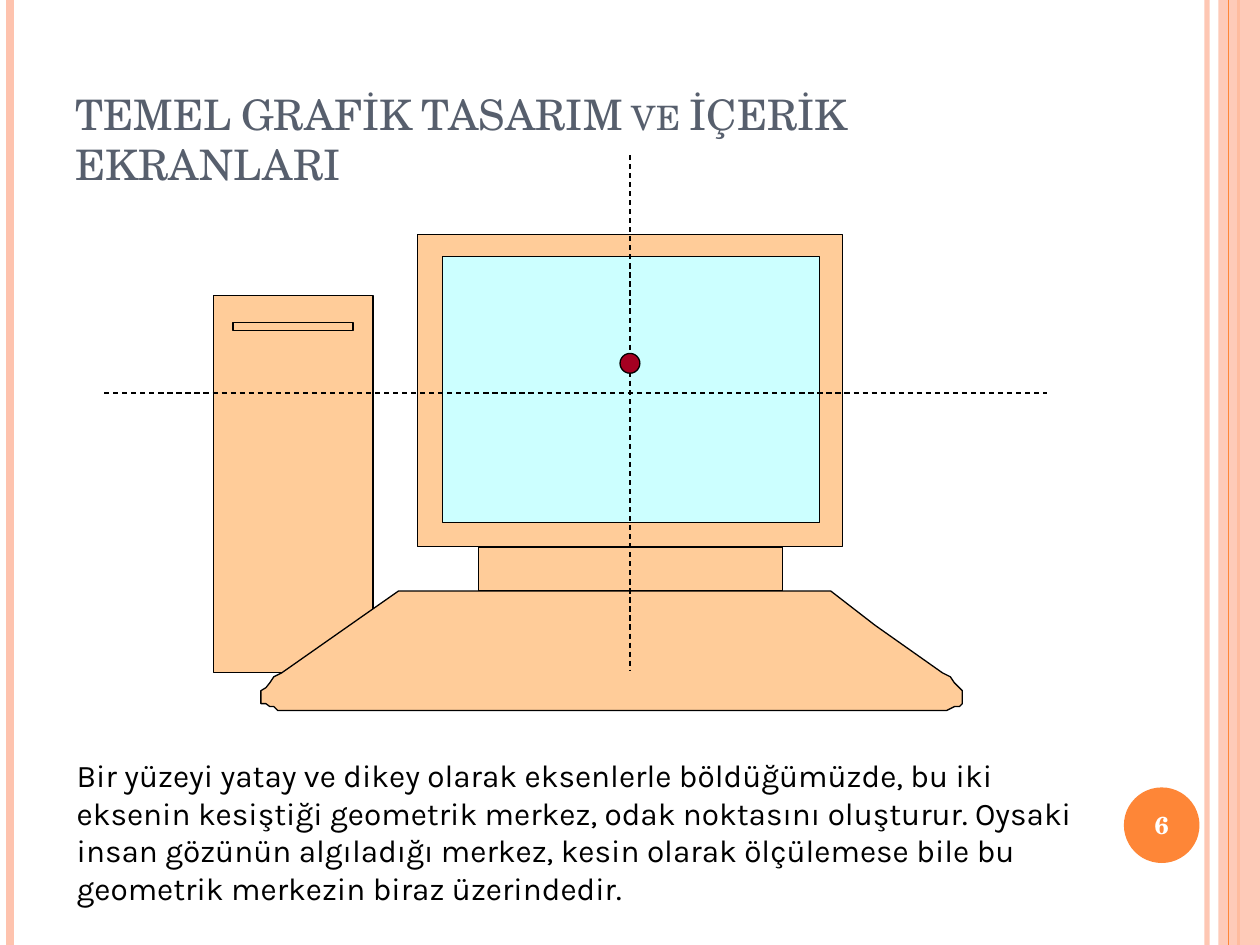
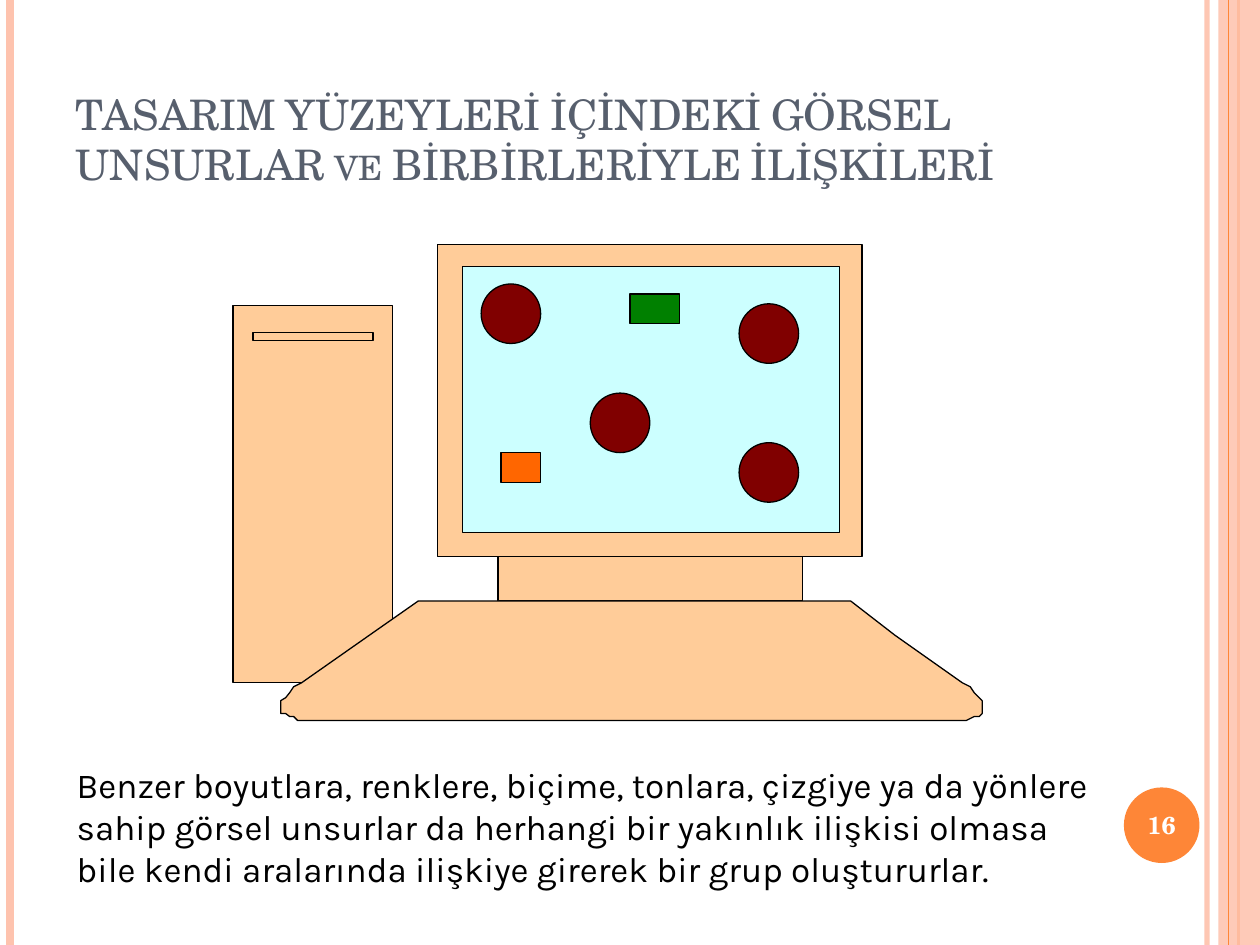
from lxml import etree
from pptx import Presentation
from pptx.dml.color import RGBColor
from pptx.enum.dml import MSO_LINE
from pptx.enum.shapes import MSO_CONNECTOR, MSO_SHAPE
from pptx.enum.text import MSO_ANCHOR, MSO_AUTO_SIZE, PP_ALIGN
from pptx.oxml.ns import qn
from pptx.util import Inches, Mm, Pt

RECT, OVAL = MSO_SHAPE.RECTANGLE, MSO_SHAPE.OVAL
STRAIGHT = MSO_CONNECTOR.STRAIGHT
DASH = MSO_LINE.DASH
LEFT, CENTER = PP_ALIGN.LEFT, PP_ALIGN.CENTER
TOP, MIDDLE, BOTTOM = MSO_ANCHOR.TOP, MSO_ANCHOR.MIDDLE, MSO_ANCHOR.BOTTOM
FIXED = MSO_AUTO_SIZE.NONE

WHITE = RGBColor(0xFF, 0xFF, 0xFF)
BLACK = RGBColor(0x00, 0x00, 0x00)
SLATE = RGBColor(0x57, 0x5F, 0x6D)
ORANGE = RGBColor(0xFE, 0x86, 0x37)
PEACH = RGBColor(0xFE, 0xC3, 0xAE)
BEIGE = RGBColor(0xFF, 0xCC, 0x99)
AQUA = RGBColor(0xCC, 0xFF, 0xFF)
RED = RGBColor(0xA5, 0x00, 0x21)
MAROON = RGBColor(0x80, 0x00, 0x00)
GREEN = RGBColor(0x00, 0x80, 0x00)
AMBER = RGBColor(0xFF, 0x66, 0x00)

SERIF, SANS = "TeX Gyre Schola", "Karla"
CELL = Mm(2)
THIN = 0.75

# Side rules: place (% of width), colour, weight, opacity (%)
RULES = [(95.8, PEACH, 3, 93), (0.83, PEACH, 4.5, 100), (98.3, ORANGE, 1.5, 100)]

# Computer parts in grid cells from its top left corner
TOWER = (0, 6.2, 16.1, 38)
SLOT = (2, 8.9, 12.1, 0.8)
CASE = (20.6, 0, 42.8, 31.5)
NECK = (26.7, 31.5, 30.7, 4.45)
SCREEN = (23.1, 2.25, 38, 26.8)
KEYS = [
    (18.67, 35.95), (62.24, 35.95), (66.7, 39.4), (73.5, 44.2), (74.3, 44.6),
    (74.7, 45.2), (75.5, 46), (75.5, 47.3), (75.2, 47.6), (74.7, 47.6),
    (73.9, 48), (6.5, 48), (6.1, 47.6), (5.7, 47.6), (5.3, 47.3), (4.8, 47.3),
    (4.8, 46), (5.3, 45.7), (5.7, 45.2), (6.1, 44.6), (6.9, 44.2), (14.6, 38.8),
]


class Deck:
    """Holds the style and the current slide."""

    def __init__(self):
        self.prs = Presentation()
        self.wide = self.prs.slide_width = Inches(10)
        self.high = self.prs.slide_height = Inches(7.5)
        self.slide = None

    def share(self, *nums):
        """Turn percentages, across and down in turn, into lengths."""
        sizes = (self.wide, self.high)
        return [round(sizes[i % 2] * n / 100) for i, n in enumerate(nums)]

    def cells(self, x, y, *size):
        """Turn grid cells, counted from the slide's centre, into lengths."""
        spot = [round(self.wide / 2 + x * CELL), round(self.high / 2 + y * CELL)]
        return spot + [round(n * CELL) for n in size]

    def paint(self, shape, fill, line=BLACK):
        shape.shadow.inherit = False
        shape.fill.solid()
        shape.fill.fore_color.rgb = fill
        if line is None:
            shape.line.fill.background()
        else:
            shape.line.color.rgb = line
            shape.line.width = Pt(THIN)

    def fade(self, item, alpha):
        for clr in item._element.spPr.iter(qn("a:srgbClr")):
            etree.SubElement(clr, qn("a:alpha"), val=str(alpha * 1000))

    def box(self, kind, area, fill, line=BLACK):
        shape = self.slide.shapes.add_shape(kind, *area)
        self.paint(shape, fill, line)
        return shape

    def rule(self, start, end, color, weight=THIN, dash=None):
        line = self.slide.shapes.add_connector(STRAIGHT, *start, *end)
        line.line.color.rgb = color
        line.line.width = Pt(weight)
        if dash is not None:
            line.line.dash_style = dash
        etree.SubElement(line._element.spPr, qn("a:effectLst"))
        return line

    def label(self, shape, text, size, face, color, align=LEFT, anchor=TOP, bold=False):
        frame = shape.text_frame
        frame.word_wrap = True
        frame.auto_size = FIXED
        frame.vertical_anchor = anchor
        para = frame.paragraphs[0]
        para.alignment = align
        run = para.add_run()
        run.text = text
        font = run.font
        font.name, font.size, font.bold = face, Pt(size), bold
        font.color.rgb = color
        return run

    def side(self, x, color, weight, alpha=100):
        line = self.rule(self.share(x, 0), self.share(x, 100), color, weight)
        if alpha < 100:
            self.fade(line, alpha)

    def start(self, title, number):
        """Add a slide with its side bands, title and number badge."""
        self.slide = self.prs.slides.add_slide(self.prs.slide_layouts[5])
        for item in RULES:
            self.side(*item)
        band = self.box(RECT, self.share(96.7, 0, 3.3, 100), PEACH, None)
        self.fade(band, 87)
        self.side(97.5, ORANGE, THIN)
        badge = self.box(OVAL, self.share(89.2, 83.33, 6, 8), ORANGE, None)
        frame = badge.text_frame
        frame.margin_left = frame.margin_right = 0
        self.label(badge, str(number), 14, SERIF, WHITE, CENTER, MIDDLE, True)
        head = self.slide.shapes.title
        head.left, head.top, head.width, head.height = self.share(5, 4, 81.7, 16.67)
        run = self.label(head, title, 24, SERIF, SLATE, anchor=BOTTOM)
        run._r.get_or_add_rPr().set("cap", "small")

    def note(self, text, size, top, high):
        area = self.share(5.1, top, 83.8, high)
        self.label(self.slide.shapes.add_textbox(*area), text, size, SANS, BLACK)

    def shape(self, kind, fill, *area):
        self.box(kind, self.cells(*area), fill)

    def axis(self, start, end):
        self.rule(self.cells(*start), self.cells(*end), BLACK, dash=DASH)

    def computer(self, left, top):
        def part(fill, x, y, wide, high):
            self.shape(RECT, fill, left + x, top + y, wide, high)

        for area in (TOWER, SLOT, CASE, NECK):
            part(BEIGE, *area)
        dots = [self.cells(left + x, top + y) for x, y in KEYS]
        outline = self.slide.shapes.build_freeform(*dots[0])
        outline.add_line_segments(dots[1:], close=True)
        self.paint(outline.convert_to_shape(), BEIGE)
        part(AQUA, *SCREEN)


def focus(deck):
    deck.start("TEMEL GRAFİK TASARIM ve İÇERİK EKRANLARI", 6)
    deck.note(
        "Bir yüzeyi yatay ve dikey olarak eksenlerle böldüğümüzde, bu iki eksenin "
        "kesiştiği geometrik merkez, odak noktasını oluşturur. Oysaki insan gözünün "
        "algıladığı merkez, kesin olarak ölçülemese bile bu geometrik merkezin "
        "biraz üzerindedir.", 18, 79.33, 17.5)
    deck.computer(-42, -24)
    deck.axis((-53, -8), (42, -8))
    deck.axis((0, -32), (0, 20))
    deck.shape(OVAL, RED, -1, -12, 2, 2)


def group(deck):
    deck.start("TASARIM YÜZEYLERİ İÇİNDEKİ GÖRSEL UNSURLAR ve BİRBİRLERİYLE İLİŞKİLERİ", 16)
    deck.note(
        "Benzer boyutlara, renklere, biçime, tonlara, çizgiye ya da yönlere sahip "
        "görsel unsurlar da herhangi bir yakınlık ilişkisi olmasa bile kendi "
        "aralarında ilişkiye girerek bir grup oluştururlar.", 20, 80.13, 14.8)
    deck.computer(-40, -23)
    deck.shape(RECT, AMBER, -13, -2, 4, 3)
    deck.shape(RECT, GREEN, 0, -18, 5, 3)
    for x, y in [(-15, -19), (-4, -8), (11, -17), (11, -3)]:
        deck.shape(OVAL, MAROON, x, y, 6, 6)


def main():
    deck = Deck()
    focus(deck)
    group(deck)
    deck.prs.save("out.pptx")


if __name__ == "__main__":
    main()
